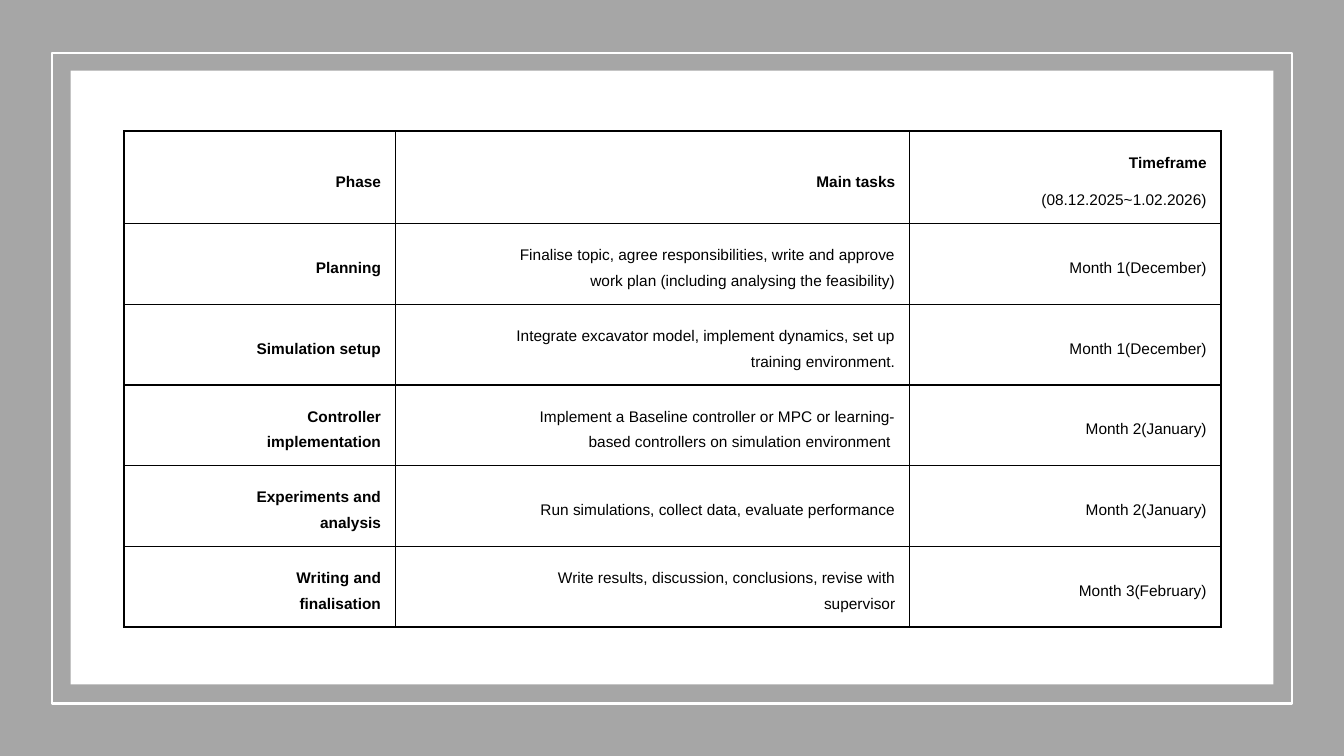
import pptx
import pptx.dml.color
import pptx.enum.shapes
import pptx.enum.text
import pptx.oxml
import pptx.oxml.ns
import pptx.util
from pptx.util import Inches

BLACK, WHITE, GREY = "000000", "FFFFFF", "A6A6A6"


def color(hex_code):
    return pptx.dml.color.RGBColor.from_string(hex_code)


def write(paragraph, text, *, bold=False, size=11, font="Arial", text_color=BLACK):
    paragraph.alignment = pptx.enum.text.PP_ALIGN.RIGHT
    paragraph.line_spacing = 1.5
    paragraph.space_after = pptx.util.Pt(8)
    properties = paragraph._p.get_or_add_pPr()
    properties.set("marL", str(Inches(0.91)))
    properties.set("indent", "0")
    run = paragraph.add_run()
    run.text = text
    run.font.name = font
    run.font.size = pptx.util.Pt(size)
    run.font.bold = bold
    run.font.color.rgb = color(text_color)


presentation = pptx.Presentation()
presentation.slide_width = Inches(13.33)
presentation.slide_height = Inches(7.5)
slide = presentation.slides.add_slide(presentation.slide_layouts[6])

# Grey backdrop, white outline and white panel
frames = [
    ((0, 0, 13.33, 7.5), GREY, None),
    ((0.52, 0.53, 12.29, 6.45), None, WHITE),
    ((0.7, 0.7, 11.93, 6.09), WHITE, None),
]
for bounds, fill, outline in frames:
    frame = slide.shapes.add_shape(
        pptx.enum.shapes.MSO_SHAPE.RECTANGLE, *[Inches(length) for length in bounds])
    frame.shadow.inherit = False
    if fill:
        frame.fill.solid()
        frame.fill.fore_color.rgb = color(fill)
    else:
        frame.fill.background()
    if outline:
        frame.line.color.rgb = color(outline)
        frame.line.width = pptx.util.Pt(1.5)
    else:
        frame.line.fill.background()

# Work plan
plan = [
    ("Phase", "Main tasks", "Timeframe\n(08.12.2025~1.02.2026)"),
    ("Planning",
     "Finalise topic, agree responsibilities, write and approve work plan "
     "(including analysing the feasibility)",
     "Month 1(December)"),
    ("Simulation setup",
     "Integrate excavator model, implement dynamics, set up training environment.",
     "Month 1(December)"),
    ("Controller implementation",
     "Implement a Baseline controller or MPC or learning-based controllers "
     "on simulation environment ",
     "Month 2(January)"),
    ("Experiments and analysis",
     "Run simulations, collect data, evaluate performance",
     "Month 2(January)"),
    ("Writing and finalisation",
     "Write results, discussion, conclusions, revise with supervisor",
     "Month 3(February)"),
]
column_widths = [2.69, 5.1, 3.09]
row_heights = [0.92] + [0.8] * (len(plan) - 1)

schedule = slide.shapes.add_table(
    len(plan), len(column_widths), Inches(1.23), Inches(1.3),
    Inches(sum(column_widths)), Inches(sum(row_heights))).table
schedule.first_row = False
schedule.horz_banding = False
for column, width in zip(schedule.columns, column_widths):
    column.width = Inches(width)
for row, height in zip(schedule.rows, row_heights):
    row.height = Inches(height)

for row_index, entries in enumerate(plan):
    for column_index, entry in enumerate(entries):
        cell = schedule.cell(row_index, column_index)
        cell.vertical_anchor = pptx.enum.text.MSO_ANCHOR.MIDDLE
        cell.margin_left = cell.margin_right = Inches(0.14)
        cell.margin_top = cell.margin_bottom = Inches(0.09)
        cell.fill.background()
        for position, side in enumerate(("lnL", "lnR", "lnT", "lnB")):
            border = pptx.oxml.parse_xml(
                f'<a:{side} {pptx.oxml.ns.nsdecls("a")} w="{pptx.util.Pt(1)}">'
                f'<a:solidFill><a:srgbClr val="{BLACK}"/></a:solidFill></a:{side}>')
            cell._tc.get_or_add_tcPr().insert(position, border)
        for line_index, line in enumerate(entry.split("\n")):
            text_frame = cell.text_frame
            paragraph = text_frame.add_paragraph() if line_index else text_frame.paragraphs[0]
            is_heading = line_index == 0 and (row_index == 0 or column_index == 0)
            write(paragraph, line, bold=is_heading)

presentation.save("out.pptx")
